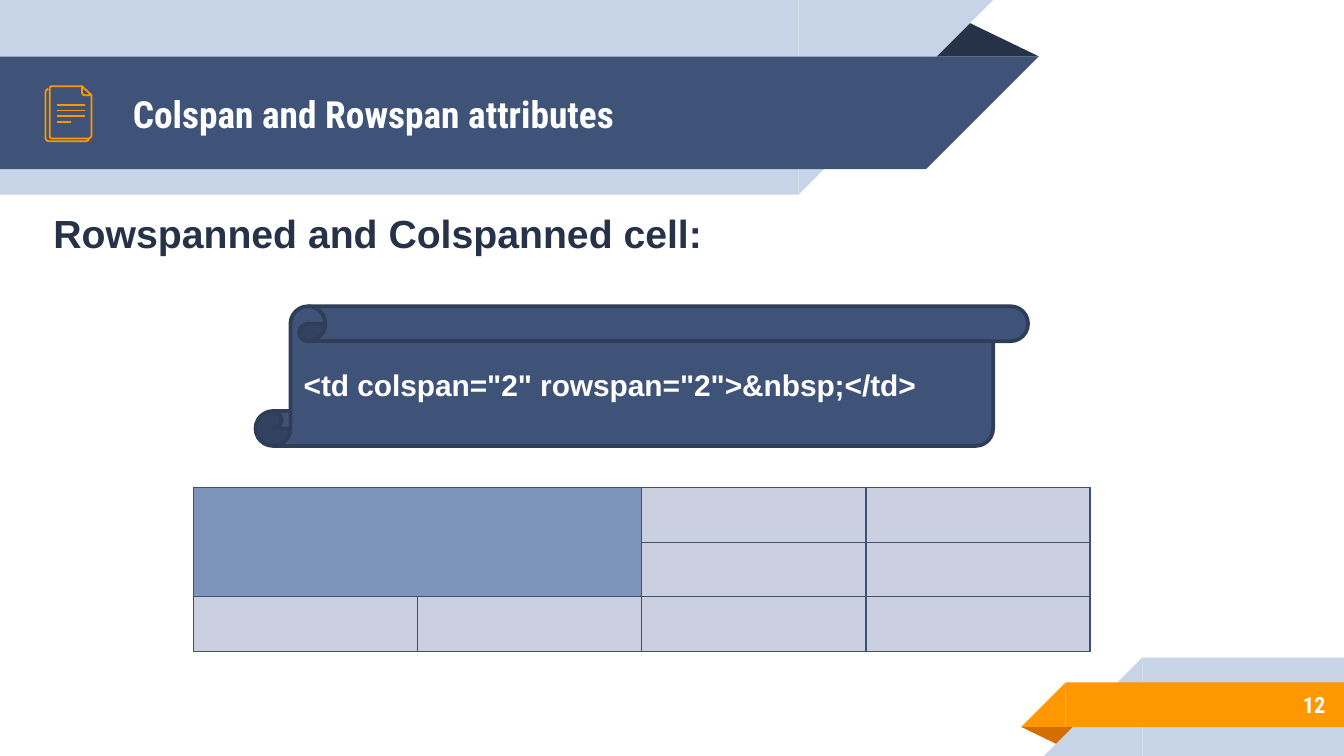
from lxml import etree
from pptx import Presentation
from pptx.dml.color import RGBColor
from pptx.enum.shapes import MSO_CONNECTOR, MSO_SHAPE
from pptx.enum.text import MSO_ANCHOR, MSO_AUTO_SIZE, PP_ALIGN
from pptx.oxml.ns import qn
from pptx.util import Cm, Pt

RECT, WEDGE = MSO_SHAPE.RECTANGLE, MSO_SHAPE.RIGHT_TRIANGLE
FOLD, SCROLL = MSO_SHAPE.ISOSCELES_TRIANGLE, MSO_SHAPE.VERTICAL_SCROLL
LINE = MSO_CONNECTOR.STRAIGHT
MIDDLE, NOFIT = MSO_ANCHOR.MIDDLE, MSO_AUTO_SIZE.NONE
LEFT, RIGHT = PP_ALIGN.LEFT, PP_ALIGN.RIGHT

NAVY = RGBColor(0x3F, 0x53, 0x78)
DARK = RGBColor(0x26, 0x32, 0x48)
PALE = RGBColor(0xC7, 0xD3, 0xE6)
AMBER = RGBColor(0xFF, 0x98, 0x00)
RUST = RGBColor(0xD2, 0x6F, 0x00)
WHITE = RGBColor(0xFF, 0xFF, 0xFF)
EDGE = RGBColor(0x2F, 0x3D, 0x59)
GRID = RGBColor(0x3C, 0x51, 0x77)
CELL = RGBColor(0xCB, 0xD0, 0xE0)
SPAN = RGBColor(0x7E, 0x94, 0xBB)

HEAD = "Roboto Condensed"
BODY = "Arial"

TITLE = "Colspan and Rowspan attributes"
LEAD = "Rowspanned and Colspanned cell:"
CODE = '<td colspan="2" rowspan="2">&nbsp;</td>'
PAGE = "12"

BANDS = [
    (FOLD, DARK, 0, (17.48, 0.36, 2.16, 0.71)),
    (RECT, PALE, 0, (0, 0, 15.09, 3.68)),
    (WEDGE, PALE, 90, (15.09, 0, 3.68, 3.68)),
    (RECT, NAVY, 0, (0, 1.07, 17.5, 2.13)),
    (WEDGE, NAVY, 90, (17.5, 1.07, 2.13, 2.13)),
    (FOLD, RUST, 180, (19.3, 13.74, 1.09, 0.36)),
    (RECT, PALE, 0, (21.59, 12.43, 3.81, 1.86)),
    (WEDGE, PALE, 270, (19.73, 12.43, 1.86, 1.86)),
    (RECT, AMBER, 0, (20.14, 12.9, 5.26, 0.84)),
    (WEDGE, AMBER, 270, (19.3, 12.9, 0.84, 0.84)),
]

SHEETS = [
    ([(168, 262), (167, 265), (163, 267), (91, 267), (88, 265), (86, 262),
      (86, 173), (88, 170), (91, 168)], False),
    ([(173, 180), (173, 257), (171, 260), (168, 262), (97, 262), (95, 260),
      (94, 257), (94, 167), (95, 164), (97, 163), (155, 163)], False),
    ([(155, 163), (173, 180), (160, 180), (157, 179), (155, 176)], True),
]
RULES = [(1.98, 1.6), (2.09, 1.6), (2.2, 1.6), (2.31, 1.35)]

ROWS, COLS = 3, 4


def box(*vals):
    return [Cm(v) for v in vals]


def put(frame, text, size, face, color, align=LEFT, **look):
    for key, val in look.items():
        setattr(frame, key, val)
    par = frame.paragraphs[0]
    par.text, par.alignment = text, align
    font = par.runs[0].font
    form = {"size": Pt(size), "name": face, "bold": True}
    for key, val in form.items():
        setattr(font, key, val)
    font.color.rgb = color


def ink(line, color, width):
    line.color.rgb = color
    line.width = Pt(width)


def paint(shape, color):
    shape.shadow.inherit = False
    shape.fill.solid()
    shape.fill.fore_color.rgb = color
    shape.line.fill.background()


def trim(cell, color):
    props = cell._tc.get_or_add_tcPr()
    for side in ("lnL", "lnR", "lnT", "lnB"):
        line = etree.SubElement(props, qn("a:" + side), w=str(Pt(0.75)))
        fill = etree.SubElement(line, qn("a:solidFill"))
        etree.SubElement(fill, qn("a:srgbClr"), val=str(GRID))
    cell.fill.solid()
    cell.fill.fore_color.rgb = color


def main():
    deck = Presentation()
    deck.slide_width, deck.slide_height = box(25.4, 14.29)
    slide = deck.slides.add_slide(deck.slide_layouts[5])
    shapes = slide.shapes

    for kind, color, turn, area in BANDS:
        band = shapes.add_shape(kind, *box(*area))
        paint(band, color)
        band.rotation = turn
        if kind == FOLD:
            band.adjustments[0] = 0.32

    title = shapes.title
    shapes._spTree.append(title._element)
    title.left, title.top, title.width, title.height = box(2.26, 1.09, 14.6, 2.13)
    inset = {"margin_" + side: Cm(0.25)
             for side in ("left", "right", "top", "bottom")}
    look = dict(inset, vertical_anchor=MIDDLE, word_wrap=True, auto_size=NOFIT)
    put(title.text_frame, TITLE, 20, HEAD, WHITE, **look)
    page = shapes.add_textbox(*box(21.16, 12.88, 4.14, 0.89))
    put(page.text_frame, PAGE, 12, HEAD, WHITE, RIGHT, **look)

    for points, close in SHEETS:
        pen = shapes.build_freeform(*points[0], scale=Cm(0.01))
        pen.add_line_segments(points[1:], close=close)
        sheet = pen.convert_to_shape()
        sheet.shadow.inherit = False
        sheet.fill.background()
        ink(sheet.line, AMBER, 0.96)
    for y, end in RULES:
        rule = shapes.add_connector(LINE, *box(1.07, y, end, y))
        etree.SubElement(rule._element.spPr, qn("a:effectLst"))
        ink(rule.line, AMBER, 0.96)

    scroll = shapes.add_shape(SCROLL, *box(4.83, 5.79, 14.6, 2.64))
    paint(scroll, NAVY)
    scroll.adjustments[0] = 0.25
    ink(scroll.line, EDGE, 2)
    put(scroll.text_frame, CODE, 16, BODY, WHITE,
        vertical_anchor=MIDDLE, word_wrap=True)

    lead = shapes.add_textbox(*box(0.76, 3.84, 12.9, 1.14))
    put(lead.text_frame, LEAD, 21, BODY, DARK, word_wrap=False)

    table = shapes.add_table(ROWS, COLS, *box(3.66, 9.22, 16.94, 3.09)).table
    for row in range(ROWS):
        for col in range(COLS):
            trim(table.cell(row, col), SPAN if row < 2 and col < 2 else CELL)
    table.cell(0, 0).merge(table.cell(1, 1))

    deck.save("out.pptx")


if __name__ == "__main__":
    main()
